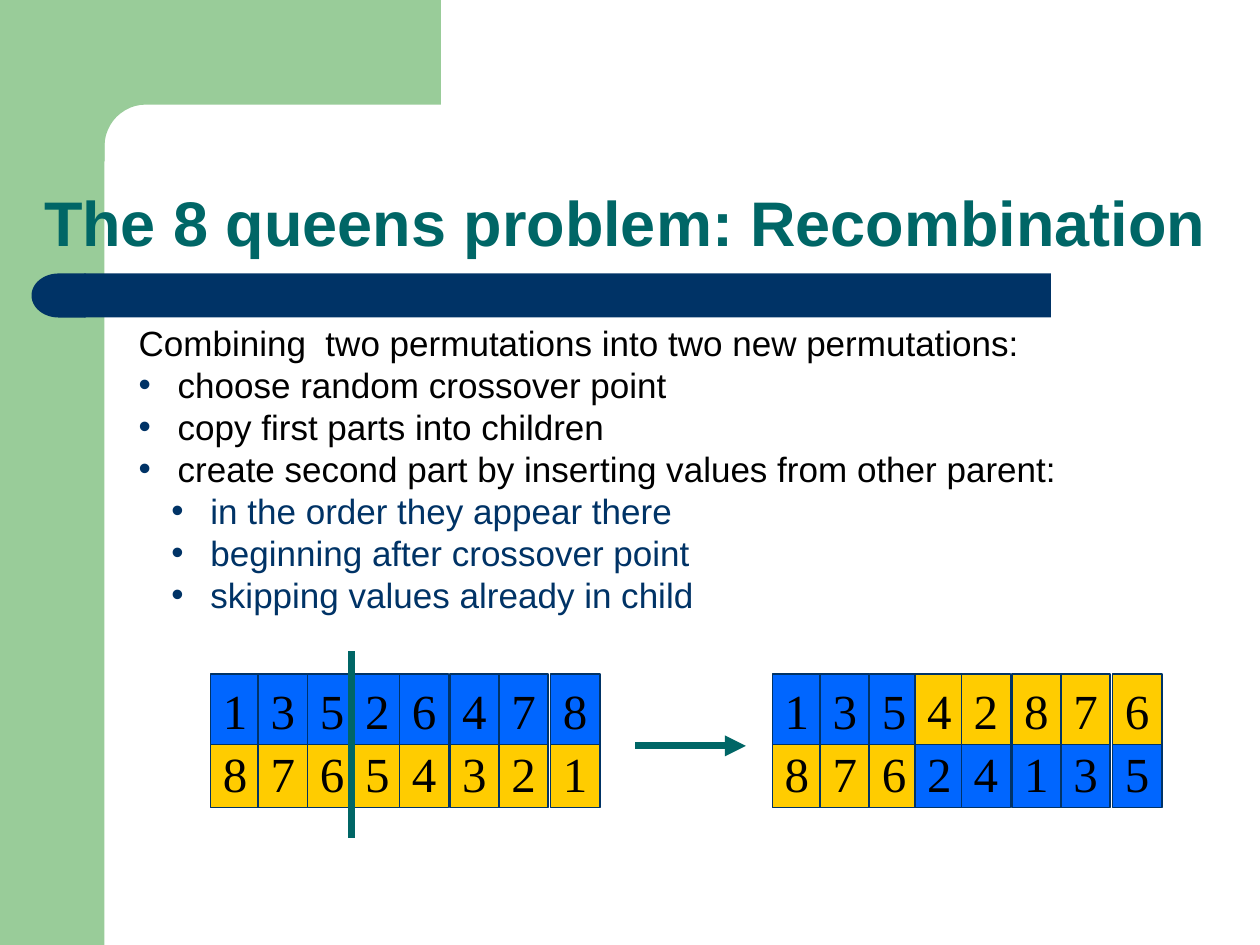
from math import cos, pi, sin

from lxml import etree
from pptx import Presentation
from pptx.dml.color import RGBColor
from pptx.enum.shapes import MSO_CONNECTOR, MSO_SHAPE
from pptx.enum.text import MSO_ANCHOR, MSO_AUTO_SIZE, PP_ALIGN
from pptx.oxml.ns import qn
from pptx.util import Inches, Pt

RECT = MSO_SHAPE.RECTANGLE
DELAY = MSO_SHAPE.FLOWCHART_DELAY
LINE = MSO_CONNECTOR.STRAIGHT
TOP, BOTTOM = MSO_ANCHOR.TOP, MSO_ANCHOR.BOTTOM
LEFT, CENTER = PP_ALIGN.LEFT, PP_ALIGN.CENTER
NO_FIT = MSO_AUTO_SIZE.NONE

GREEN, TEAL, NAVY = "99CC99", "006666", "003366"
BLUE, GOLD, BLACK = "0066FF", "FFCC00", "000000"
COLUMNS = [0, 0.38, 0.77, 1.13, 1.5, 1.9, 2.29, 2.7]
CUT = 3
POINTS = [
    ("Combining  two permutations into two new permutations:", 0, False),
    ("choose random crossover point", 0, True),
    ("copy first parts into children", 0, True),
    ("create second part by inserting values from other parent:", 0, True),
    ("in the order they appear there", 1, True),
    ("beginning after crossover point", 1, True),
    ("skipping values already in child", 1, True),
]


def color(code):
    return RGBColor.from_string(code)


def paint(shape, fill, edge=None):
    shape.shadow.inherit = False
    shape.fill.solid()
    shape.fill.fore_color.rgb = color(fill)
    if edge:
        shape.line.color.rgb = color(edge)
        shape.line.width = Pt(1)
    else:
        shape.line.fill.background()


def add_block(slide, kind, box, fill, edge=None):
    shape = slide.shapes.add_shape(kind, *map(Inches, box))
    paint(shape, fill, edge)
    return shape


def add_run(para, text, size, font, ink, bold=False):
    run = para.add_run()
    run.text = text
    run.font.size = Pt(size)
    run.font.name = font
    run.font.bold = bold
    run.font.color.rgb = color(ink)


def add_corner(slide):
    mid, radius, steps = 1.16, 0.33, 12
    arc = [
        (mid - radius * sin(i * pi / 2 / steps), mid - radius * cos(i * pi / 2 / steps))
        for i in range(steps + 1)
    ]
    dots = [(3.5, 0), (3.5, 0.83), *arc, (0.83, 1.28), (0.5, 1.28), (0.5, 0)]
    pairs = [(Inches(x), Inches(y)) for x, y in dots]
    path = slide.shapes.build_freeform(*pairs[0])
    path.add_line_segments(pairs[1:], close=True)
    paint(path.convert_to_shape(), GREEN)


def add_frame(slide):
    add_block(slide, RECT, (0, 0, 0.83, 7.5), GREEN)
    add_corner(slide)
    add_block(slide, RECT, (0.67, 2.17, 7.67, 0.35), NAVY)
    cap = add_block(slide, DELAY, (0.25, 2.17, 0.43, 0.35), NAVY)
    cap.rotation = 180


def place(slide, shape, box, anchor):
    slide.shapes.element.append(shape.element)
    shape.left, shape.top, shape.width, shape.height = map(Inches, box)
    frame = shape.text_frame
    frame.auto_size = NO_FIT
    frame.word_wrap = True
    frame.vertical_anchor = anchor
    return frame


def add_title(slide):
    frame = place(slide, slide.shapes.title, (0.25, 1.08, 9.75, 1), BOTTOM)
    frame.margin_bottom = Inches(0.02)
    para = frame.paragraphs[0]
    para.alignment = LEFT
    para.line_spacing = 1.5
    add_run(para, "The 8 queens problem: Recombination", 36, "Arial", TEAL, True)


def set_bullet(para, level, shown):
    props = para._p.get_or_add_pPr()
    hang = 0.31 if shown else 0
    props.set("marL", str(Inches(hang + 0.26 * level)))
    props.set("indent", str(Inches(-hang)))
    if not shown:
        etree.SubElement(props, qn("a:buNone"))
        return
    tint = etree.SubElement(props, qn("a:buClr"))
    etree.SubElement(tint, qn("a:srgbClr"), val=NAVY)
    etree.SubElement(props, qn("a:buFont"), typeface="Arial")
    etree.SubElement(props, qn("a:buChar"), char="•")


def add_list(slide):
    frame = place(slide, slide.placeholders[1], (1, 2.5, 8.77, 2.43), TOP)
    for i, (text, level, shown) in enumerate(POINTS):
        para = frame.add_paragraph() if i else frame.paragraphs[0]
        para.level = level
        set_bullet(para, level, shown)
        para.space_before = Pt(0)
        para.line_spacing = Pt(24)
        add_run(para, text, 20, "Arial", NAVY if level else BLACK)


def add_row(slide, left, top, digits, head, tail):
    for i, (step, digit) in enumerate(zip(COLUMNS, digits)):
        fill = head if i < CUT else tail
        cell = add_block(slide, RECT, (left + step, top, 0.39, 0.56), fill, NAVY)
        frame = cell.text_frame
        frame.word_wrap = False
        frame.vertical_anchor = TOP
        para = frame.paragraphs[0]
        para.alignment = CENTER
        add_run(para, digit, 28, "Times New Roman", BLACK)


def add_pair(slide, left, upper, lower, swap):
    add_row(slide, left, 5.85, lower, GOLD, BLUE if swap else GOLD)
    add_row(slide, left, 5.35, upper, BLUE, GOLD if swap else BLUE)


def add_line(slide, ends, arrow=False):
    line = slide.shapes.add_connector(LINE, *map(Inches, ends))
    line.line.color.rgb = color(TEAL)
    line.line.width = Pt(4)
    if arrow:
        etree.SubElement(line.line._get_or_add_ln(), qn("a:tailEnd"), type="triangle")
    etree.SubElement(line._element.spPr, qn("a:effectLst"))


def main():
    deck = Presentation()
    deck.slide_width, deck.slide_height = Inches(10), Inches(7.5)
    slide = deck.slides.add_slide(deck.slide_layouts[1])
    add_frame(slide)
    add_title(slide)
    add_list(slide)
    add_line(slide, (5.04, 5.92, 5.92, 5.92), True)
    add_pair(slide, 6.13, "13542876", "87624135", True)
    add_pair(slide, 1.67, "13526478", "87654321", False)
    add_line(slide, (2.79, 5.17, 2.79, 6.65))
    deck.save("out.pptx")


if __name__ == "__main__":
    main()
